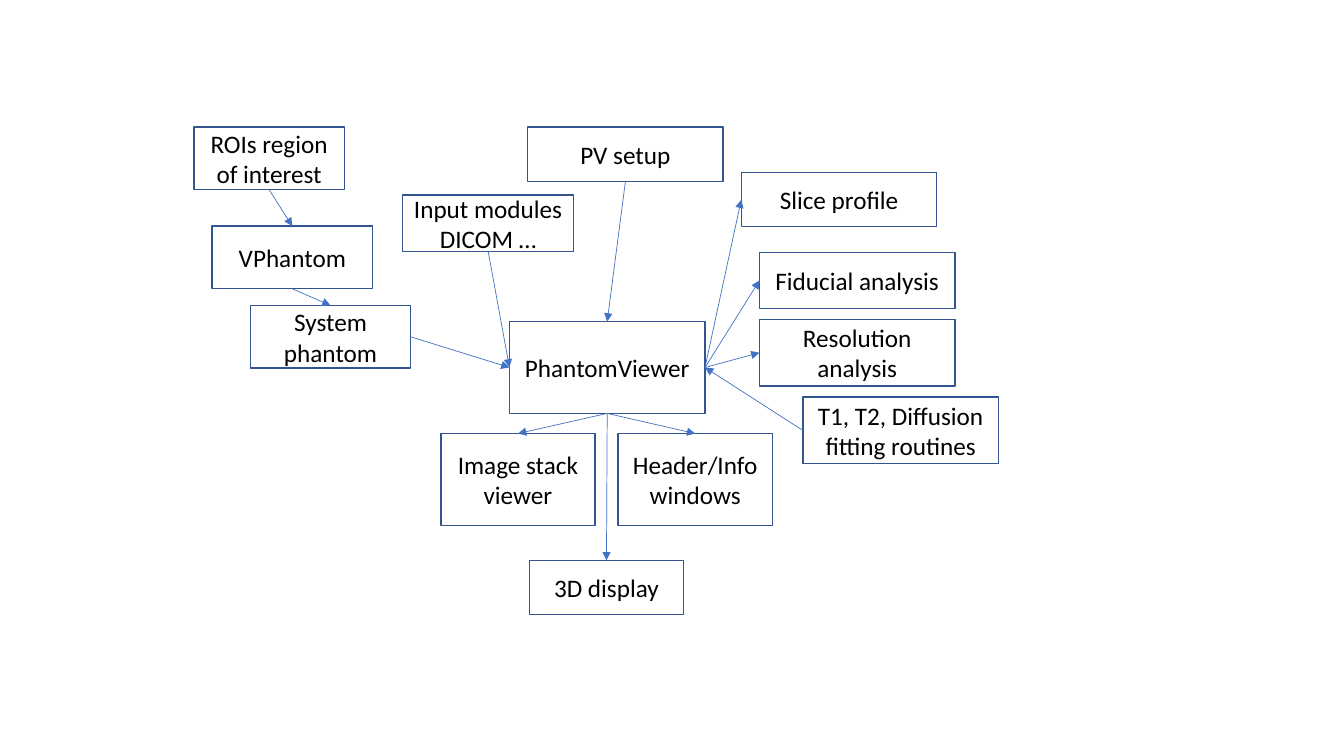
from lxml import etree
from pptx import Presentation
from pptx.dml.color import RGBColor
from pptx.enum import shapes, text
from pptx.oxml.ns import qn
from pptx.util import Pt

FONT = "Calibri"
OUTLINE, ARROW, INK = "325491", "4472C4", "000000"
TOP, LEFT, BOTTOM, RIGHT = range(4)

# Box label: left, top, width, height within the diagram
MODULES = {
    "PhantomViewer": (225.4, 139, 139.7, 65.6),
    "VPhantom": (13, 70.8, 114.6, 44.8),
    "ROIs region of interest": (0, 0, 107.4, 44.8),
    "Fiducial analysis": (404, 89.5, 139.7, 40.3),
    "Image stack viewer": (176.4, 219, 110.2, 65.6),
    "Header/Info windows": (303, 219, 110.2, 65.6),
    "Resolution analysis": (404, 137.5, 139.7, 47.5),
    "Slice profile": (391, 32.5, 139.7, 38.8),
    "System phantom": (40.3, 127.5, 114.6, 44.8),
    "Input modules\nDICOM …": (149, 48.5, 122.4, 40.3),
    "T1, T2, Diffusion fitting routines": (435, 193, 139.7, 47.5),
    "3D display": (239.6, 309.6, 110.2, 38.8),
    "PV setup": (238.4, 0, 139.7, 38.8),
}

# Arrows: source, side it leaves, target, side it enters
FLOWS = [
    ("ROIs region of interest", BOTTOM, "VPhantom", TOP),
    ("VPhantom", BOTTOM, "System phantom", TOP),
    ("System phantom", RIGHT, "PhantomViewer", LEFT),
    ("PhantomViewer", RIGHT, "Slice profile", LEFT),
    ("PhantomViewer", RIGHT, "Fiducial analysis", LEFT),
    ("PhantomViewer", RIGHT, "Resolution analysis", LEFT),
    ("PhantomViewer", BOTTOM, "Image stack viewer", TOP),
    ("PhantomViewer", BOTTOM, "Header/Info windows", TOP),
    ("Input modules\nDICOM …", BOTTOM, "PhantomViewer", LEFT),
    ("T1, T2, Diffusion fitting routines", LEFT, "PhantomViewer", RIGHT),
    ("PhantomViewer", BOTTOM, "3D display", TOP),
    ("PV setup", BOTTOM, "PhantomViewer", TOP),
]


def color(hex_code):
    return RGBColor.from_string(hex_code)


def add_module(slide, label, left, top, width, height):
    module = slide.shapes.add_shape(
        shapes.MSO_SHAPE.RECTANGLE, Pt(left), Pt(top), Pt(width), Pt(height))
    module.shadow.inherit = False
    module.fill.background()
    module.line.color.rgb = color(OUTLINE)
    module.line.width = Pt(1)

    frame = module.text_frame
    frame.word_wrap = True
    frame.vertical_anchor = text.MSO_ANCHOR.MIDDLE
    frame.text = label
    for paragraph in frame.paragraphs:
        paragraph.alignment = text.PP_ALIGN.CENTER
        paragraph.font.name = FONT
        paragraph.font.size = Pt(18)
        paragraph.font.color.rgb = color(INK)
    return module


def add_flow(slide, source, source_side, target, target_side):
    flow = slide.shapes.add_connector(
        shapes.MSO_CONNECTOR.STRAIGHT, 0, 0, 0, 0)
    flow.begin_connect(source, source_side)
    flow.end_connect(target, target_side)
    flow.line.color.rgb = color(ARROW)
    flow.line.width = Pt(0.5)

    # Arrowhead at the target, no shadow
    properties = flow._element.spPr
    etree.SubElement(properties.find(qn("a:ln")), qn("a:tailEnd"), type="triangle")
    etree.SubElement(properties, qn("a:effectLst"))


def add_diagram(slide, left, top):
    modules = {
        label: add_module(slide, label, left + x, top + y, width, height)
        for label, (x, y, width, height) in MODULES.items()
    }
    for source, source_side, target, target_side in FLOWS:
        add_flow(slide, modules[source], source_side,
                 modules[target], target_side)


def main():
    deck = Presentation()
    deck.slide_width, deck.slide_height = Pt(960), Pt(540)
    slide = deck.slides.add_slide(deck.slide_layouts[6])
    add_diagram(slide, left=138.5, top=90.7)
    deck.save("out.pptx")


if __name__ == "__main__":
    main()
